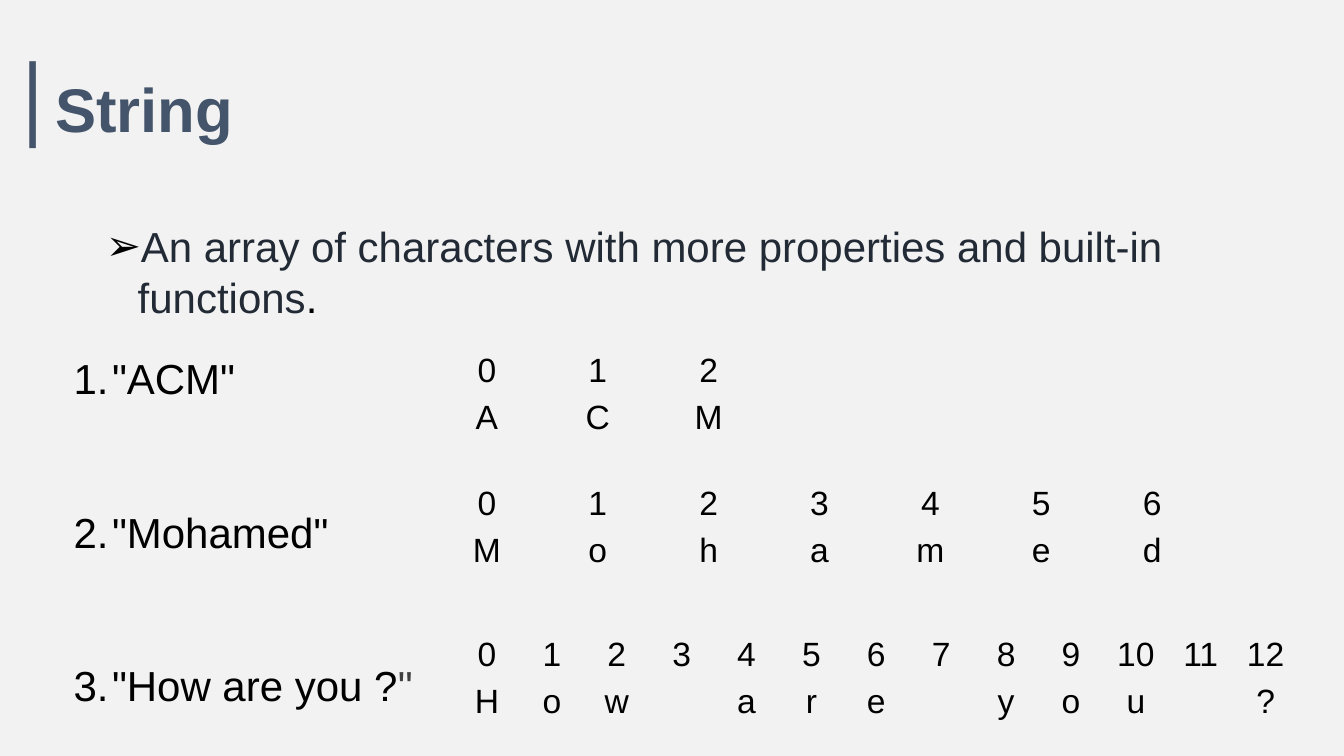
"""Build the slide that introduces strings as indexed arrays of characters."""
from lxml import etree
from pptx import Presentation
from pptx import util as u
from pptx.dml.color import RGBColor
from pptx.enum import text
from pptx.oxml.ns import qn

COLORS = {"background": "F2F2F2", "title": "44546A", "definition": "222A35",
          "ink": "000000", "closing_quote": "3F3F3F"}
NO_GRID = "{2D5ABB26-0587-4C30-8999-92F81FD0307C}"
ROW_HEIGHT = 33.8
INDEX_TABLES = [("ACM", 308.2, 248.4, 79.2),
                ("Mohamed", 308.2, 343.4, 79.2),
                ("How are you ?", 324.7, 451.4, 46.36)]


def style_run(run, size, color, font="Arial", bold=False):
    """Set the font, size and colour of a run."""
    run.font.name = font
    run.font.size = u.Pt(size)
    run.font.bold = bold
    run.font.color.rgb = RGBColor.from_string(COLORS[color])


def place(holder, left, top, width, height, anchor):
    """Move a placeholder and return its text frame."""
    holder.left, holder.top = u.Pt(left), u.Pt(top)
    holder.width, holder.height = u.Pt(width), u.Pt(height)
    frame = holder.text_frame
    frame.word_wrap = True
    frame.auto_size = text.MSO_AUTO_SIZE.NONE
    frame.vertical_anchor = anchor
    return frame


def add_runs(paragraph, pieces, size):
    """Append pieces of text in their colours to a paragraph."""
    for wording, color in pieces:
        run = paragraph.add_run()
        run.text = wording
        style_run(run, size, color)


def set_bullet(paragraph, indent, tag, **attributes):
    """Give a paragraph a black hanging bullet or number."""
    properties = paragraph._p.get_or_add_pPr()
    properties.set("marL", str(u.Pt(indent)))
    properties.set("indent", str(-u.Pt(indent)))
    bullet_color = etree.SubElement(properties, qn("a:buClr"))
    etree.SubElement(bullet_color, qn("a:srgbClr"), val=COLORS["ink"])
    etree.SubElement(properties, qn("a:buFont"), typeface="Arial")
    etree.SubElement(properties, qn(tag), **attributes)


def fill_title(holder):
    """Write the title after its tall bar."""
    frame = place(holder, 0, 0, 236, 134, text.MSO_ANCHOR.MIDDLE)
    frame.margin_top = frame.margin_bottom = u.Pt(7.2)
    heading = frame.paragraphs[0]
    heading.alignment = text.PP_ALIGN.LEFT
    bar, name = heading.add_run(), heading.add_run()
    bar.text, name.text = "|", "String"
    style_run(bar, 70, "title", font="Calibri")
    style_run(name, 44, "title", bold=True)


def fill_definition(holder):
    """Write the definition with its arrow bullet."""
    frame = place(holder, 68.4, 154, 877, 81, text.MSO_ANCHOR.TOP)
    definition = frame.paragraphs[0]
    definition.space_before = u.Pt(0)
    add_runs(definition, [
        ("An array of characters with more properties and built-in functions", "definition"),
        (".", "ink")], 30)
    set_bullet(definition, 22.8, "a:buChar", char="➢")


def fill_examples(holder):
    """Write the numbered list of quoted strings."""
    frame = place(holder, 45.4, 248.4, 279, 255, text.MSO_ANCHOR.TOP)
    last = len(INDEX_TABLES) - 1
    for number, (word, *_) in enumerate(INDEX_TABLES):
        example = frame.add_paragraph() if number else frame.paragraphs[0]
        example.space_before = u.Pt(73.5 if number else 0)
        quote_color = "closing_quote" if number == last else "ink"
        add_runs(example, [('"' + word, "ink"), ('"', quote_color)], 30)
        set_bullet(example, 27.4, "a:buAutoNum", type="arabicPeriod")


def add_index_table(slide, word, left, top, column_width):
    """Add a table that sets each character under its index."""
    table = slide.shapes.add_table(
        2, len(word), u.Pt(left), u.Pt(top),
        u.Pt(column_width * len(word)), u.Pt(2 * ROW_HEIGHT)).table
    table.first_row = table.horz_banding = False
    table._tbl.tblPr.find(qn("a:tableStyleId")).text = NO_GRID
    for index, character in enumerate(word):
        table.columns[index].width = u.Pt(column_width)
        for row, label in enumerate((str(index), character.strip())):
            cell = table.cell(row, index)
            cell.fill.background()
            cell.margin_top = cell.margin_bottom = u.Pt(3)
            entry = cell.text_frame.paragraphs[0]
            entry.alignment = text.PP_ALIGN.CENTER
            entry.text = label
            for run in entry.runs:
                style_run(run, 24, "ink")


def main():
    """Assemble and save the slide."""
    deck = Presentation()
    deck.slide_width, deck.slide_height = u.Pt(960), u.Pt(540)
    slide = deck.slides.add_slide(deck.slide_layouts[3])
    slide.background.fill.solid()
    slide.background.fill.fore_color.rgb = RGBColor.from_string(COLORS["background"])
    title, definition, examples = list(slide.placeholders)[:3]
    fill_title(title)
    fill_definition(definition)
    fill_examples(examples)
    for index_table in INDEX_TABLES:
        add_index_table(slide, *index_table)
    deck.save("out.pptx")


if __name__ == "__main__":
    main()
